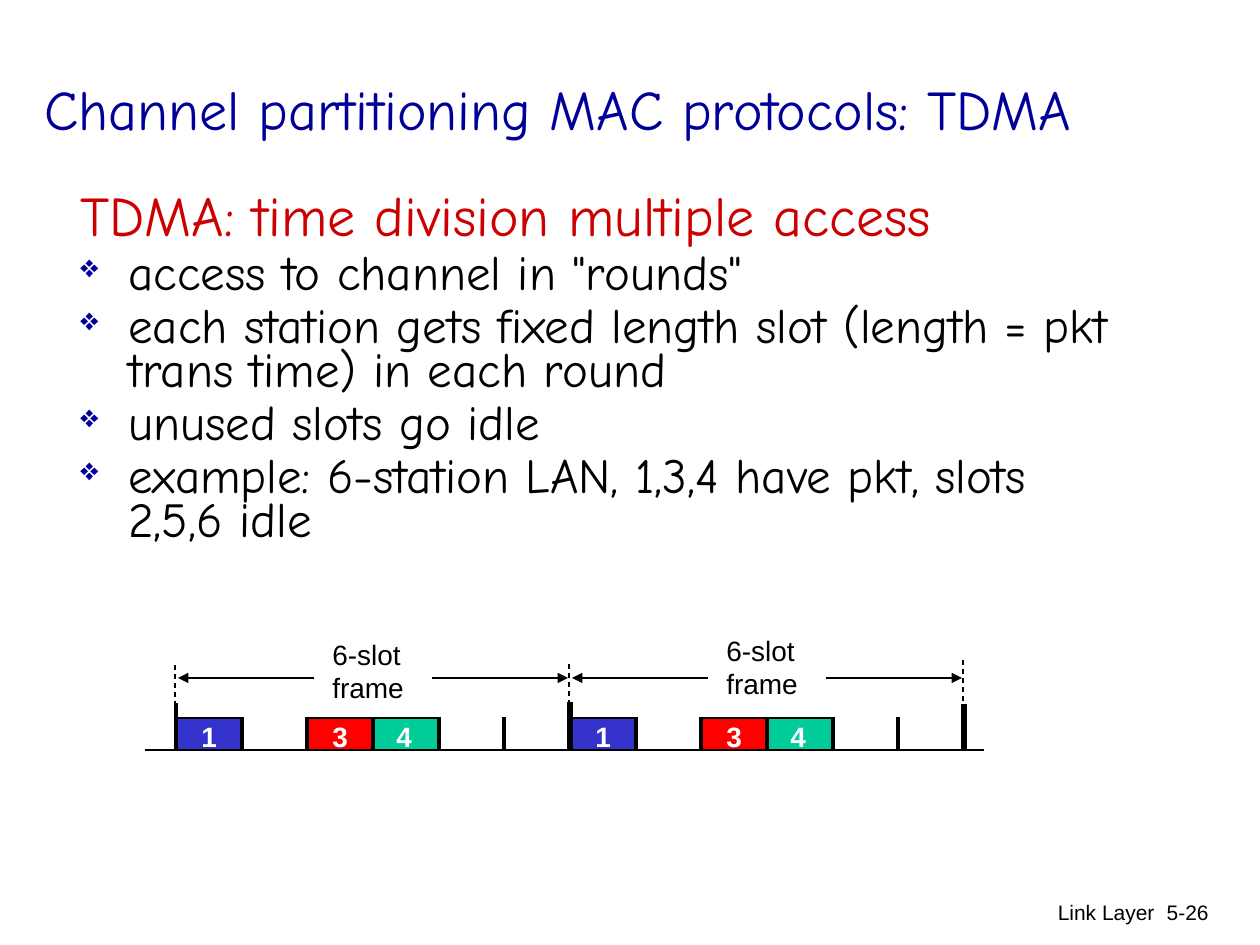
from dataclasses import dataclass

from lxml.etree import SubElement
from pptx import Presentation
from pptx.dml.color import RGBColor
from pptx.enum.dml import MSO_LINE
from pptx.enum.shapes import MSO_CONNECTOR, MSO_SHAPE
from pptx.enum.text import MSO_ANCHOR, PP_ALIGN
from pptx.oxml.ns import qn
from pptx.util import Emu, Pt


@dataclass(frozen=True)
class Theme:
    ink: str = "000000"
    paper: str = "FFFFFF"
    navy: str = "000099"
    crimson: str = "CC0000"
    blue: str = "3333CC"
    red: str = "FF0000"
    green: str = "00CC99"
    hand: str = "Comic Neue"
    sans: str = "Arial"
    head: int = 32
    body: int = 28
    label: int = 16
    foot: int = 12
    thin: float = 0.75
    tick: float = 2.25
    post: float = 3


def px(n):
    return Emu(round(n * 914400 / 126))


def rgb(code):
    return RGBColor.from_string(code)


class Page:
    def __init__(self, slide, theme):
        self.shapes = slide.shapes
        self.theme = theme

    def frame(self, x, y, w, h, wrap=True, anchor=MSO_ANCHOR.TOP):
        frame = self.shapes.add_textbox(px(x), px(y), px(w), px(h)).text_frame
        frame.word_wrap = wrap
        frame.vertical_anchor = anchor
        return frame

    def run(self, para, text, size, color, face, bold=False):
        run = para.add_run()
        run.text = text
        font = run.font
        font.size, font.name, font.bold = Pt(size), face, bold
        font.color.rgb = rgb(color)

    def text(self, box, lines, size, color, face, bold=False,
             align=PP_ALIGN.LEFT, **opts):
        frame = self.frame(*box, **opts)
        for i, line in enumerate(lines):
            para = frame.add_paragraph() if i else frame.paragraphs[0]
            para.alignment = align
            self.run(para, line, size, color, face, bold)

    def bullet(self, para):
        props = para._p.get_or_add_pPr()
        color = SubElement(props, qn("a:buClr"))
        SubElement(color, qn("a:srgbClr"), val=self.theme.navy)
        SubElement(props, qn("a:buSzPct"), val="65000")
        SubElement(props, qn("a:buChar"), char="❖")

    def points(self, box, lead, items):
        """Write a red lead line with bulleted items below it."""
        t = self.theme
        frame = self.frame(*box)
        for i, item in enumerate([lead, *items]):
            para = frame.add_paragraph() if i else frame.paragraphs[0]
            props = para._p.get_or_add_pPr()
            props.set("marL", str(px(48)))
            props.set("indent", str(-px(48)))
            if i:
                self.bullet(para)
                para.space_before = Pt(5)
            para.line_spacing = 0.75
            size, color = (t.body, t.ink) if i else (t.head, t.crimson)
            self.run(para, item, size, color, t.hand)

    def rect(self, x, y, w, h, fill):
        rect = self.shapes.add_shape(MSO_SHAPE.RECTANGLE,
                                     px(x), px(y), px(w), px(h))
        rect.shadow.inherit = False
        rect.fill.solid()
        rect.fill.fore_color.rgb = rgb(fill)
        rect.line.color.rgb = rgb(self.theme.ink)
        rect.line.width = Pt(self.theme.thin)

    def line(self, x1, y1, x2, y2, width, dash=False, arrow=False):
        line = self.shapes.add_connector(MSO_CONNECTOR.STRAIGHT,
                                         px(x1), px(y1), px(x2), px(y2))
        line.line.color.rgb = rgb(self.theme.ink)
        line.line.width = Pt(width)
        if dash:
            line.line.dash_style = MSO_LINE.DASH
        if arrow:
            SubElement(line.line._get_or_add_ln(), qn("a:tailEnd"),
                       type="triangle")
        SubElement(line._element.spPr, qn("a:effectLst"))


SPAN, SLOTS = 394, 6
TOP, BASE = 718, 750


def draw_round(page, left, top):
    """Draw one six-slot frame, its label starting at top."""
    t = page.theme

    def edge(n):
        return round(left + n * SPAN / SLOTS)

    used = [(1, t.blue, 13), (3, t.red, 13), (4, t.green, 11)]
    for slot, fill, _ in used:
        page.rect(edge(slot - 1), TOP, 66, BASE - TOP, fill)
    for n in range(1, SLOTS):
        page.line(edge(n), TOP - 1, edge(n), BASE, t.tick)
    for slot, _, shift in used:
        page.text((edge(slot - 1) + shift, TOP - 5, 40, 47), [str(slot)],
                  t.label, t.paper, t.sans, bold=True, wrap=False)

    page.text((left + 144, top, 97, 81), ["6-slot", "frame"],
              t.label, t.ink, t.sans, wrap=False)
    for start, end in ((138, 2), (256, SPAN - 2)):
        page.line(left + start, 678, left + end, 678, t.thin, arrow=True)


def main():
    deck = Presentation()
    deck.slide_width, deck.slide_height = px(1260), px(945)
    t = Theme()
    page = Page(deck.slides.add_slide(deck.slide_layouts[6]), t)

    for box, word in (((767, 893, 400, 63), "Link Layer"),
                      ((1128, 893, 93, 63), "5-26")):
        page.text(box, [word], t.foot, t.ink, t.sans, align=PP_ALIGN.RIGHT)
    page.text((32, 29, 1228, 158), ["Channel partitioning MAC protocols: TDMA"],
              t.head, t.navy, t.hand, anchor=MSO_ANCHOR.MIDDLE)
    page.points((68, 190, 1071, 403), "TDMA: time division multiple access", [
        'access to channel in "rounds"',
        "each station gets fixed length slot (length = pkt trans time) "
        "in each round",
        "unused slots go idle",
        "example: 6-station LAN, 1,3,4 have pkt, slots 2,5,6 idle",
    ])

    page.line(145, BASE, 984, BASE, t.thin)
    for left, top in ((176, 631), (176 + SPAN, 627)):
        draw_round(page, left, top)
    posts = [(665, 703, t.tick), (664, 702, t.post), (660, 704, t.post)]
    for n, (dash, top, width) in enumerate(posts):
        x = 176 + n * SPAN
        page.line(x, top, x, BASE, width)
        page.line(x - 1, dash, x - 1, dash + 42, t.thin, dash=True)

    deck.save("out.pptx")


if __name__ == "__main__":
    main()
